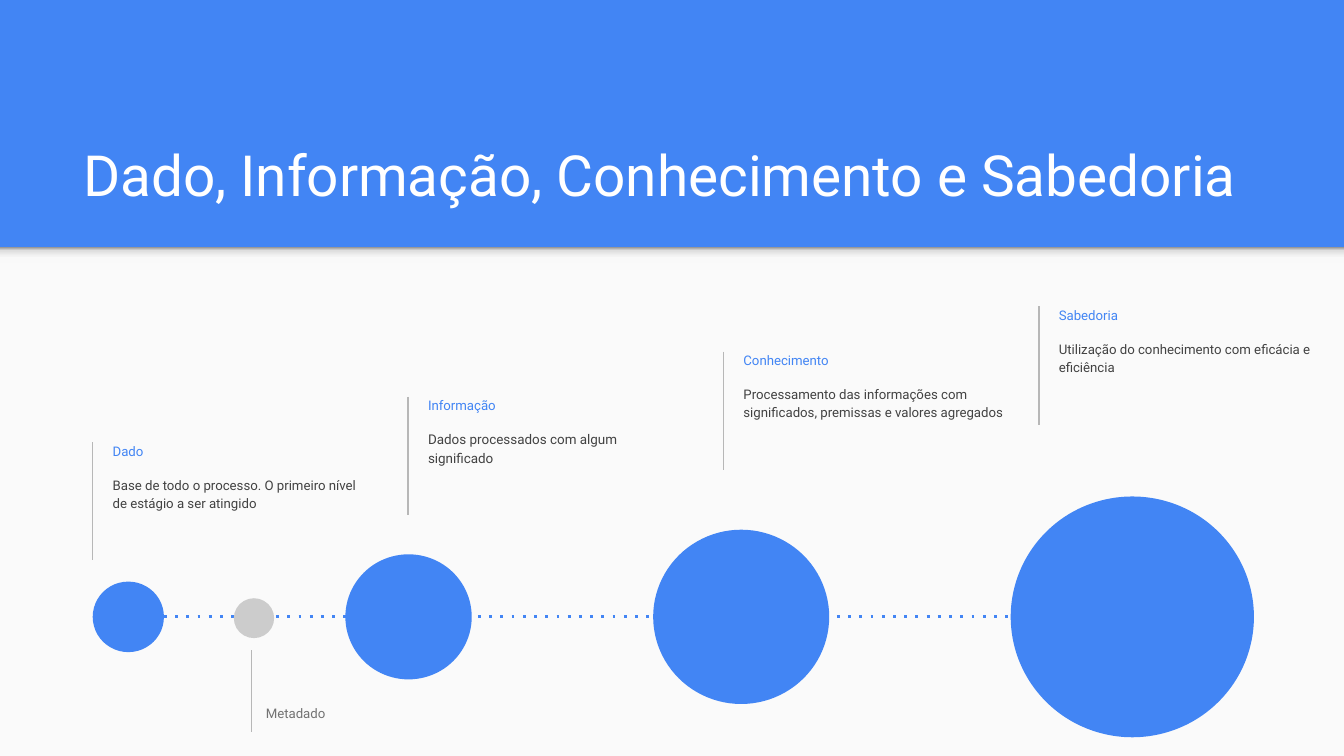
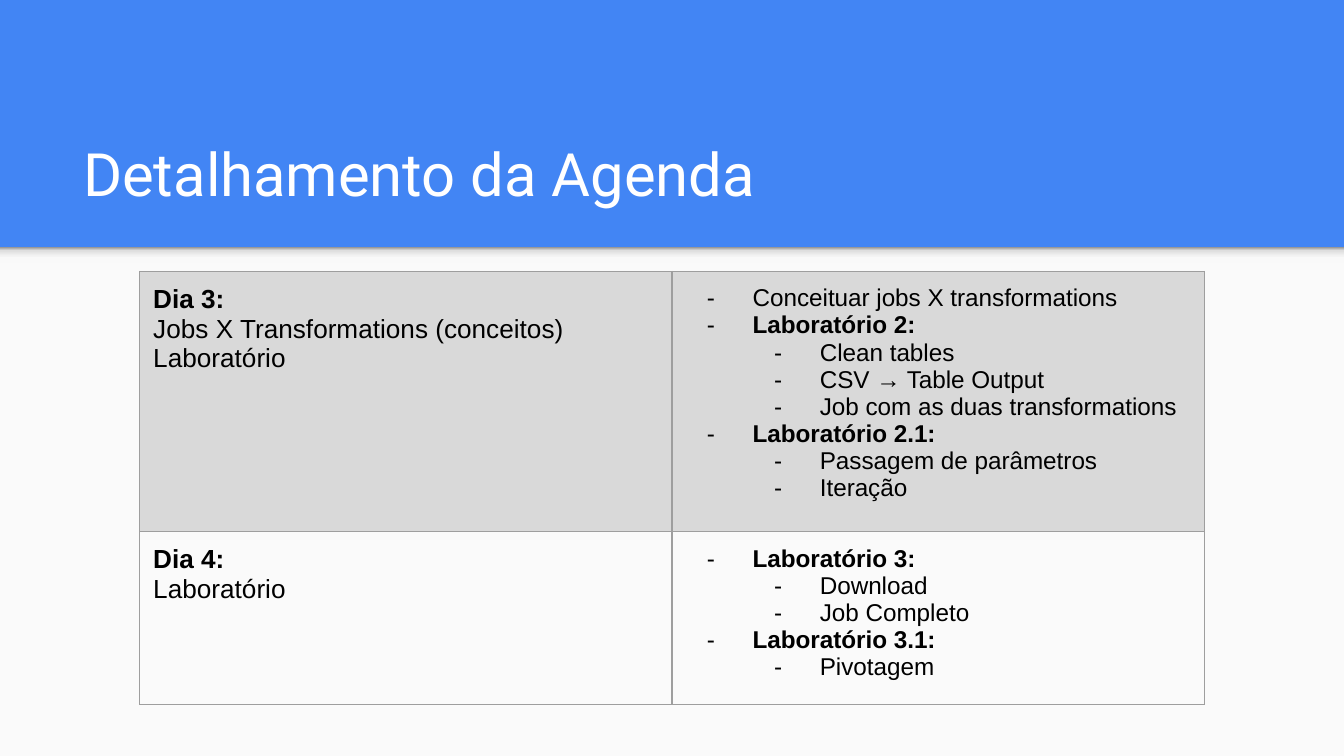
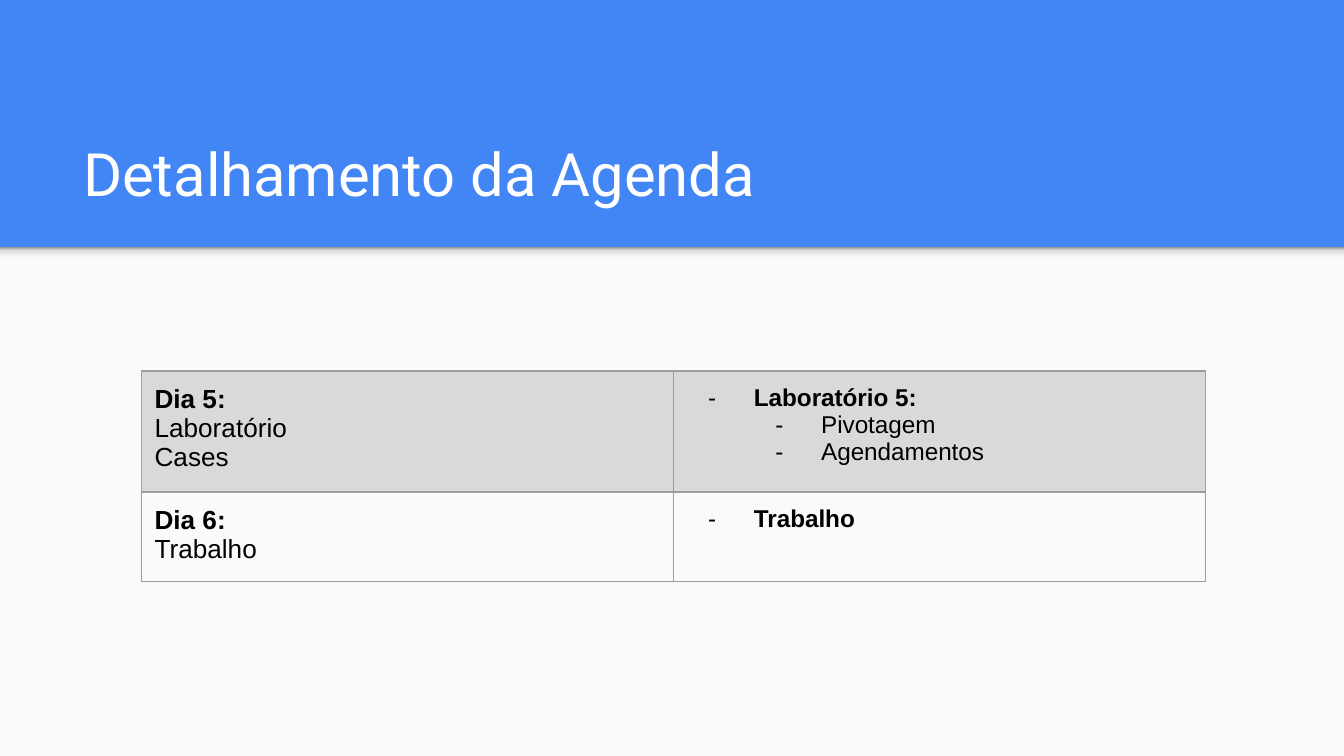
import dataclasses

import pptx
import pptx.dml.color
import pptx.enum.shapes
import pptx.enum.text
import pptx.oxml
import pptx.oxml.ns
import pptx.util
from lxml import etree

SHAPE = pptx.enum.shapes.MSO_SHAPE
ANCHOR = pptx.enum.text.MSO_ANCHOR
qn = pptx.oxml.ns.qn

# Grid: ten columns across a 16:9 slide, square cells
COLUMNS = 10
ROWS = COLUMNS * 9 / 16
CELL = pptx.util.Inches(1)


@dataclasses.dataclass(frozen=True)
class Theme:
    blue: str = "4285F4"
    panel: str = "FAFAFA"
    white: str = "FFFFFF"
    black: str = "000000"
    body: str = "424242"
    muted: str = "737373"
    rule: str = "B7B7B7"
    dot: str = "CCCCCC"
    border: str = "9E9E9E"
    shaded: str = "D9D9D9"
    band_shadow: tuple = ((0, "F9F9F9"), (36, "F9F9F9"), (80, "DEDEDE"), (100, "999999"))
    font: str = "Roboto"
    table_font: str = "Arial"
    title_size: float = 32
    long_title_size: float = 30.4
    label_size: float = 7.1
    wide_label_size: float = 7.2
    day_size: float = 14
    topic_size: float = 13
    inset: float = 0.1
    band_height: float = 1.84


THEME = Theme()


def grid(*cells):
    return [round(CELL * value) for value in cells]


def rgb(code):
    return pptx.dml.color.RGBColor.from_string(code)


def add_element(parent, tag, **attributes):
    return etree.SubElement(parent, qn(tag), attributes)


def style_span(span, name, size, color, bold=False):
    font = span.font
    font.name, font.size, font.bold = name, pptx.util.Pt(size), bold
    font.color.rgb = rgb(color)
    for script in ("a:ea", "a:cs"):
        add_element(span._r.get_or_add_rPr(), script, typeface=name)


def set_insets(target):
    inset = grid(THEME.inset)[0]
    target.margin_left = target.margin_right = inset
    target.margin_top = target.margin_bottom = inset


# Kinds of element
def add_text(page, text, area, size, color, anchor=ANCHOR.MIDDLE, spacing=1.0):
    frame = page.shapes.add_textbox(*grid(*area)).text_frame
    frame.word_wrap = True
    frame.vertical_anchor = anchor
    set_insets(frame)
    frame.text = text
    paragraph = frame.paragraphs[0]
    paragraph.line_spacing = spacing
    style_span(paragraph.runs[0], THEME.font, size, color)


def add_solid(page, kind, area, color):
    shape = page.shapes.add_shape(kind, *grid(*area))
    shape.shadow.inherit = False
    shape.fill.solid()
    shape.fill.fore_color.rgb = rgb(color)
    shape.line.fill.background()
    return shape


def add_circle(page, center_x, center_y, width, color):
    height = width * 0.99
    area = (center_x - width / 2, center_y - height / 2, width, height)
    add_solid(page, SHAPE.OVAL, area, color)


def add_line(page, start, end, color, weight=0.75, dash=None):
    straight = pptx.enum.shapes.MSO_CONNECTOR.STRAIGHT
    connector = page.shapes.add_connector(straight, *grid(*start, *end))
    connector.line.color.rgb = rgb(color)
    connector.line.width = pptx.util.Pt(weight)
    properties = connector._element.spPr
    if dash:
        add_element(properties.find(qn("a:ln")), "a:prstDash", val=dash)
    add_element(properties, "a:effectLst")


def add_page(deck, title, title_size=THEME.title_size):
    page = deck.slides.add_slide(deck.slide_layouts[6])
    page.background.fill.solid()
    page.background.fill.fore_color.rgb = rgb(THEME.blue)
    top = THEME.band_height
    add_solid(page, SHAPE.RECTANGLE, (0, top, COLUMNS, ROWS - top), THEME.panel)

    # Soft shadow below the title band, darkest at its top edge
    shadow = add_solid(page, SHAPE.RECTANGLE, (0, top, COLUMNS, 0.12), THEME.panel)
    shadow.fill.gradient()
    shadow.fill.gradient_angle = 90
    stops = shadow._element.spPr.find(".//" + qn("a:gsLst"))
    for stop in list(stops):
        stops.remove(stop)
    for position, color in THEME.band_shadow:
        stop = add_element(stops, "a:gs", pos=str(position * 1000))
        add_element(stop, "a:srgbClr", val=color)

    add_text(page, title, (0.52, 0.81, 8.99, 0.84), title_size, THEME.white, ANCHOR.BOTTOM)
    return page


# Stages of knowledge
def add_stage(page, x, y, width, size, name, description):
    add_line(page, (x, y), (x, y + 0.88), THEME.rule)
    add_text(page, name, (x + 0.05, y - 0.1, 1.56, 0.33), THEME.label_size, THEME.blue)
    add_text(page, description, (x + 0.05, y + 0.14, width, 0.49), size,
             THEME.body, ANCHOR.TOP, 1.15)


def add_stages(page, stages):
    axis, gap, left = 4.59, 1.35, 0.69
    add_line(page, (1.22, axis), (8.34, axis), THEME.blue, 1.5, "dot")
    first, last = (0.69, 3.29), (7.73, 2.28)
    for index, (name, description, text_width, size, diameter) in enumerate(stages):
        share = index / (len(stages) - 1)
        x, y = (a + (b - a) * share for a, b in zip(first, last))
        add_stage(page, x, y, text_width, size, name, description)
        add_circle(page, left + diameter / 2, axis, diameter, THEME.blue)
        left += diameter + gap


def add_metadata(page):
    add_circle(page, 1.89, 4.6, 0.3, THEME.dot)
    add_text(page, "Metadado", (1.88, 5.14, 1.56, 0.33), THEME.label_size, THEME.muted)
    add_line(page, (1.87, 4.84), (1.87, 5.45), THEME.rule)


# Agenda tables
def topic(text, bold=False):
    return text, 0, bold


def lab(name, *steps):
    return [topic(name, True)] + [(step, 1, False) for step in steps]


def add_dash(paragraph, level):
    paragraph.level = level
    properties = paragraph._p.get_or_add_pPr()
    properties.set("marL", str(grid(0.5 + 0.5 * level)[0]))
    properties.set("indent", str(grid(-0.34)[0]))
    color = add_element(properties, "a:buClr")
    add_element(color, "a:srgbClr", val=THEME.black)
    add_element(properties, "a:buFont", typeface=THEME.table_font)
    add_element(properties, "a:buChar", char="-")


def style_cell(cell, fill):
    set_insets(cell)
    properties = cell._tc.get_or_add_tcPr()
    for side in ("a:lnL", "a:lnR", "a:lnT", "a:lnB"):
        line = add_element(properties, side, w=str(pptx.util.Pt(0.75)))
        add_element(add_element(line, "a:solidFill"), "a:srgbClr", val=THEME.border)
    if fill:
        cell.fill.solid()
        cell.fill.fore_color.rgb = rgb(fill)
    else:
        cell.fill.background()


def fill_cell(cell, entries, size, dashed):
    cell.text_frame.text = "\n".join(text for text, _, _ in entries)
    for paragraph, (_, level, bold) in zip(cell.text_frame.paragraphs, entries):
        paragraph.line_spacing = 1.0
        paragraph.space_before = paragraph.space_after = pptx.util.Pt(0)
        if dashed:
            add_dash(paragraph, level)
        style_span(paragraph.runs[0], THEME.table_font, size, THEME.black, bold)
        # The paragraph mark takes part in the row height
        mark = add_element(paragraph._p, "a:endParaRPr", sz=str(size * 100))
        for script in ("a:latin", "a:ea", "a:cs"):
            add_element(mark, script, typeface=THEME.table_font)


def add_agenda(page, left, top, days):
    area = grid(left, top, 7.92, 0.42 * len(days))
    table = page.shapes.add_table(len(days), 2, *area).table
    table.first_row = table.horz_banding = False
    for row, (day, topics) in enumerate(days):
        for column, entries in enumerate((day, topics)):
            cell = table.cell(row, column)
            style_cell(cell, THEME.shaded if row == 0 else None)
            size = THEME.topic_size if column else THEME.day_size
            fill_cell(cell, entries, size, dashed=column == 1)


def main():
    deck = pptx.Presentation()
    deck.slide_width, deck.slide_height = grid(COLUMNS, ROWS)

    # From data to wisdom: name, description, text width and size, circle diameter
    page = add_page(deck, "Dado, Informação, Conhecimento e Sabedoria", THEME.long_title_size)
    add_stages(page, [
        ("Dado", "Base de todo o processo. O primeiro nível de estágio a ser atingido",
         2.1, THEME.label_size, 0.53),
        ("Informação", "Dados processados com algum significado",
         2.1, THEME.wide_label_size, 0.94),
        ("Conhecimento",
         "Processamento das informações com significados, premissas e valores agregados",
         2.21, THEME.label_size, 1.31),
        ("Sabedoria", "Utilização do conhecimento com eficácia e eficiência",
         2.1, THEME.label_size, 1.81),
    ])
    add_metadata(page)

    # Days 3 and 4
    page = add_page(deck, "Detalhamento da Agenda")
    add_agenda(page, 1.04, 2.02, [
        (lab("Dia 3:", "Jobs X Transformations (conceitos)", "Laboratório"),
         [topic("Conceituar jobs X transformations")]
         + lab("Laboratório 2:", "Clean tables", "CSV → Table Output",
               "Job com as duas transformations")
         + lab("Laboratório 2.1:", "Passagem de parâmetros", "Iteração")),
        (lab("Dia 4:", "Laboratório"),
         lab("Laboratório 3:", "Download", "Job Completo")
         + lab("Laboratório 3.1:", "Pivotagem")),
    ])

    # Days 5 and 6
    page = add_page(deck, "Detalhamento da Agenda")
    add_agenda(page, 1.05, 2.76, [
        (lab("Dia 5:", "Laboratório", "Cases"),
         lab("Laboratório 5:", "Pivotagem", "Agendamentos")),
        (lab("Dia 6:", "Trabalho"), lab("Trabalho")),
    ])

    deck.save("out.pptx")


if __name__ == "__main__":
    main()
